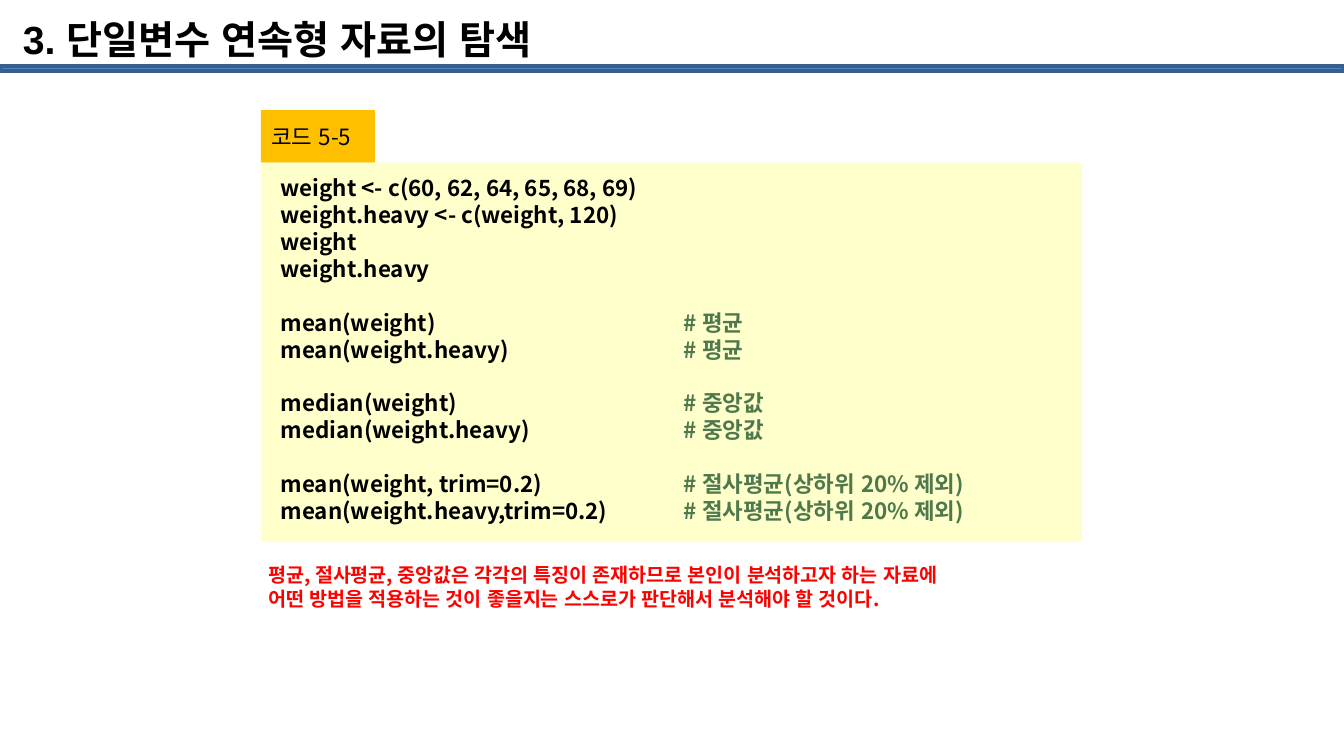
from lxml.etree import SubElement
from pptx import Presentation
from pptx.dml.color import RGBColor
from pptx.enum.lang import MSO_LANGUAGE_ID
from pptx.enum.shapes import MSO_SHAPE
from pptx.enum.text import MSO_ANCHOR, PP_ALIGN
from pptx.oxml.ns import qn
from pptx.util import Inches, Pt


class Theme:
    latin, korean = "Arial", "Noto Sans CJK KR"
    black, red = RGBColor(0, 0, 0), RGBColor(0xFF, 0, 0)
    comment = RGBColor(0x4F, 0x78, 0x4C)
    bar, bar_edge = RGBColor(0x4F, 0x81, 0xBD), RGBColor(0x3A, 0x5F, 0x8C)
    tag, panel = RGBColor(0xFF, 0xC0, 0x00), RGBColor(0xFF, 0xFF, 0xCC)
    title_size, code_size, note_size = Pt(21), Pt(12), Pt(10.5)
    title_pitch, code_pitch, note_pitch = Pt(25.4), Pt(14.4), Pt(12.7)


def add_block(left, top, width, height, fill):
    block = slide.shapes.add_shape(
        MSO_SHAPE.RECTANGLE, Inches(left), Inches(top), Inches(width), Inches(height))
    block.shadow.inherit = False
    block.fill.solid()
    block.fill.fore_color.rgb = fill
    block.line.fill.background()
    return block


def format_text(frame, size, pitch, color, bold=True, latin=Theme.korean):
    for paragraph in frame.paragraphs:
        paragraph.alignment = PP_ALIGN.LEFT
        paragraph.line_spacing = pitch
        for run in paragraph.runs:
            run.font.size, run.font.bold, run.font.name = size, bold, latin
            run.font.color.rgb = color
            run.font.language_id = MSO_LANGUAGE_ID.KOREAN
            SubElement(run.font._element, qn("a:ea"), typeface=Theme.korean)


prs = Presentation()
prs.slide_width = Inches(10)
prs.slide_height = prs.slide_width * 9 // 16
slide = prs.slides.add_slide(prs.slide_layouts[5])

# Heading and rule
title = slide.shapes.title
title.left, title.top, title.width, title.height = (
    Inches(0.1), Inches(0.07), Inches(8.62), Inches(0.56))
heading = title.text_frame
heading.text = "3. 단일변수 연속형 자료의 탐색"
heading.vertical_anchor = MSO_ANCHOR.TOP
heading.margin_left = heading.margin_right = Inches(0.07)
heading.margin_top = heading.margin_bottom = Inches(0.04)
format_text(heading, Theme.title_size, Theme.title_pitch, Theme.black, latin=Theme.latin)

rule = add_block(0, 0.49, 10, 0.04, Theme.bar)
rule.line.color.rgb = Theme.bar_edge
rule.line.width = Pt(2)

# Code panel and its tag
add_block(1.94, 0.82, 0.85, 0.39, Theme.tag)
add_block(1.94, 1.21, 6.11, 2.82, Theme.panel)

tag = slide.shapes.add_textbox(
    Inches(1.92), Inches(0.87), Inches(0.85), Inches(0.3)).text_frame
tag.word_wrap = False
tag.text = "코드 5-5"
format_text(tag, Theme.code_size, Theme.code_pitch, Theme.black, bold=False)

# Each group holds (statement, comment) lines and is set off by one line of space
code_groups = [
    [("weight <- c(60, 62, 64, 65, 68, 69)", ""),
     ("weight.heavy <- c(weight, 120)", ""),
     ("weight", ""),
     ("weight.heavy", "")],
    [("mean(weight)", "# 평균"),
     ("mean(weight.heavy)", "# 평균")],
    [("median(weight)", "# 중앙값"),
     ("median(weight.heavy)", "# 중앙값")],
    [("mean(weight, trim=0.2)", "# 절사평균(상하위 20% 제외)"),
     ("mean(weight.heavy,trim=0.2)", "# 절사평균(상하위 20% 제외)")],
]
code_lines = [line for group in code_groups for line in group]
group_starts = [group[0] for group in code_groups[1:]]

code = slide.shapes.add_textbox(
    Inches(1.99), Inches(1.25), Inches(5.82), Inches(2.73)).text_frame
code.word_wrap = True
code.text = "\n".join(
    f"{statement}\t" if comment else statement for statement, comment in code_lines)
for paragraph, (statement, comment) in zip(code.paragraphs, code_lines):
    if comment:
        paragraph.add_run().text = comment
format_text(code, Theme.code_size, Theme.code_pitch, Theme.black)
for paragraph, line in zip(code.paragraphs, code_lines):
    if line in group_starts:
        paragraph.space_before = Theme.code_pitch
    if line[1]:
        paragraph.runs[-1].font.color.rgb = Theme.comment
        tab_stops = SubElement(paragraph._p.get_or_add_pPr(), qn("a:tabLst"))
        SubElement(tab_stops, qn("a:tab"), pos=str(Inches(3)), algn="l")

# Closing remark
remark = slide.shapes.add_textbox(
    Inches(1.9), Inches(4.14), Inches(5.76), Inches(0.45)).text_frame
remark.word_wrap = False
remark.text = (
    "평균, 절사평균, 중앙값은 각각의 특징이 존재하므로 본인이 분석하고자 하는 자료에\n"
    "어떤 방법을 적용하는 것이 좋을지는 스스로가 판단해서 분석해야 할 것이다.")
format_text(remark, Theme.note_size, Theme.note_pitch, Theme.red)

prs.save("out.pptx")
